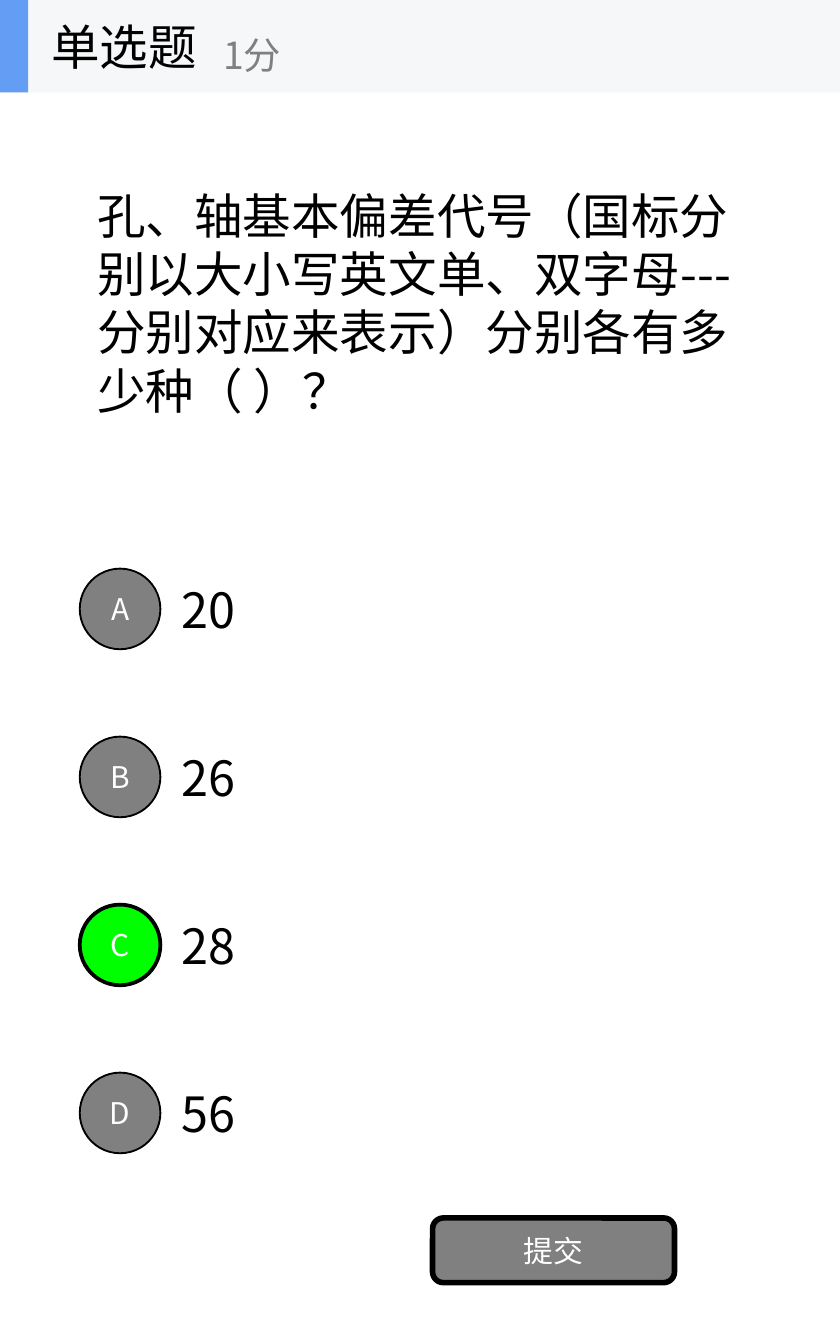
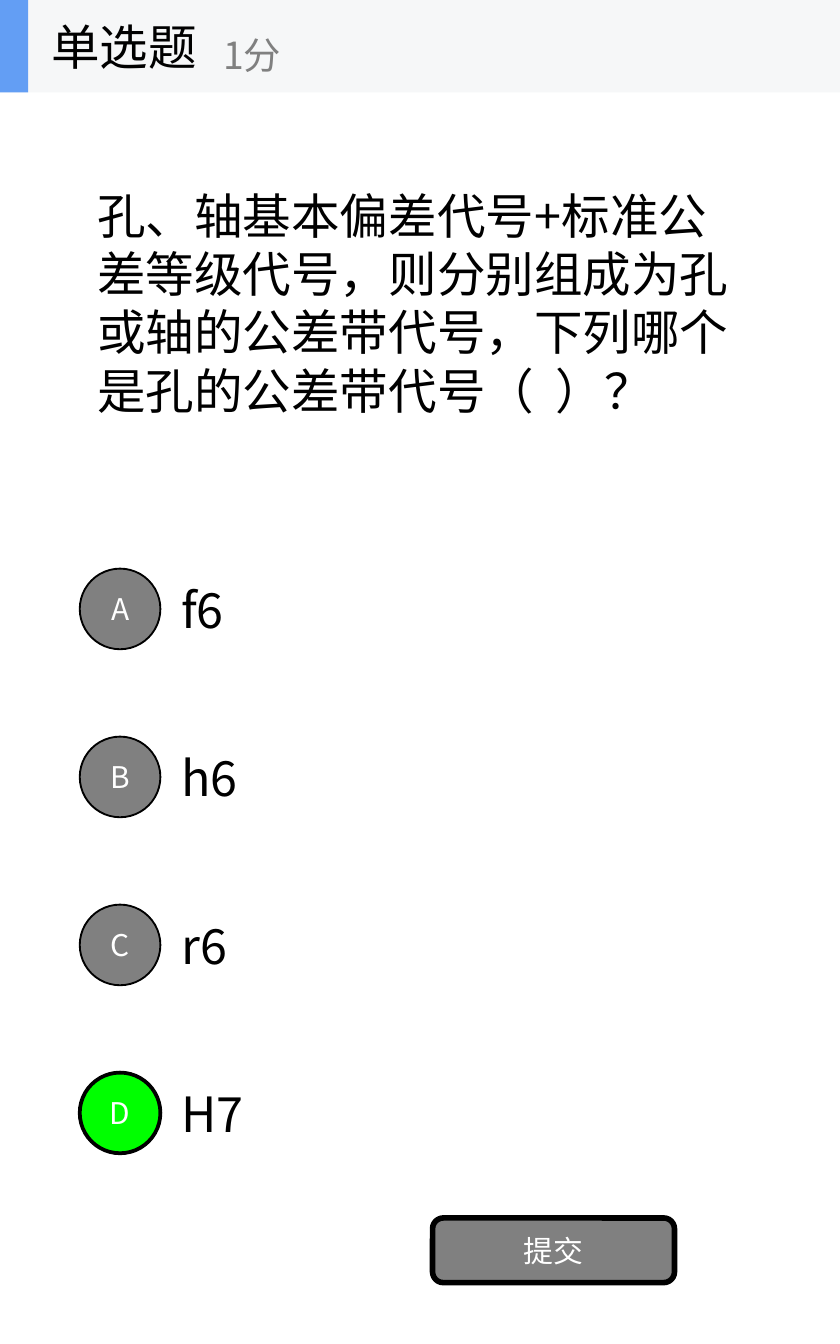
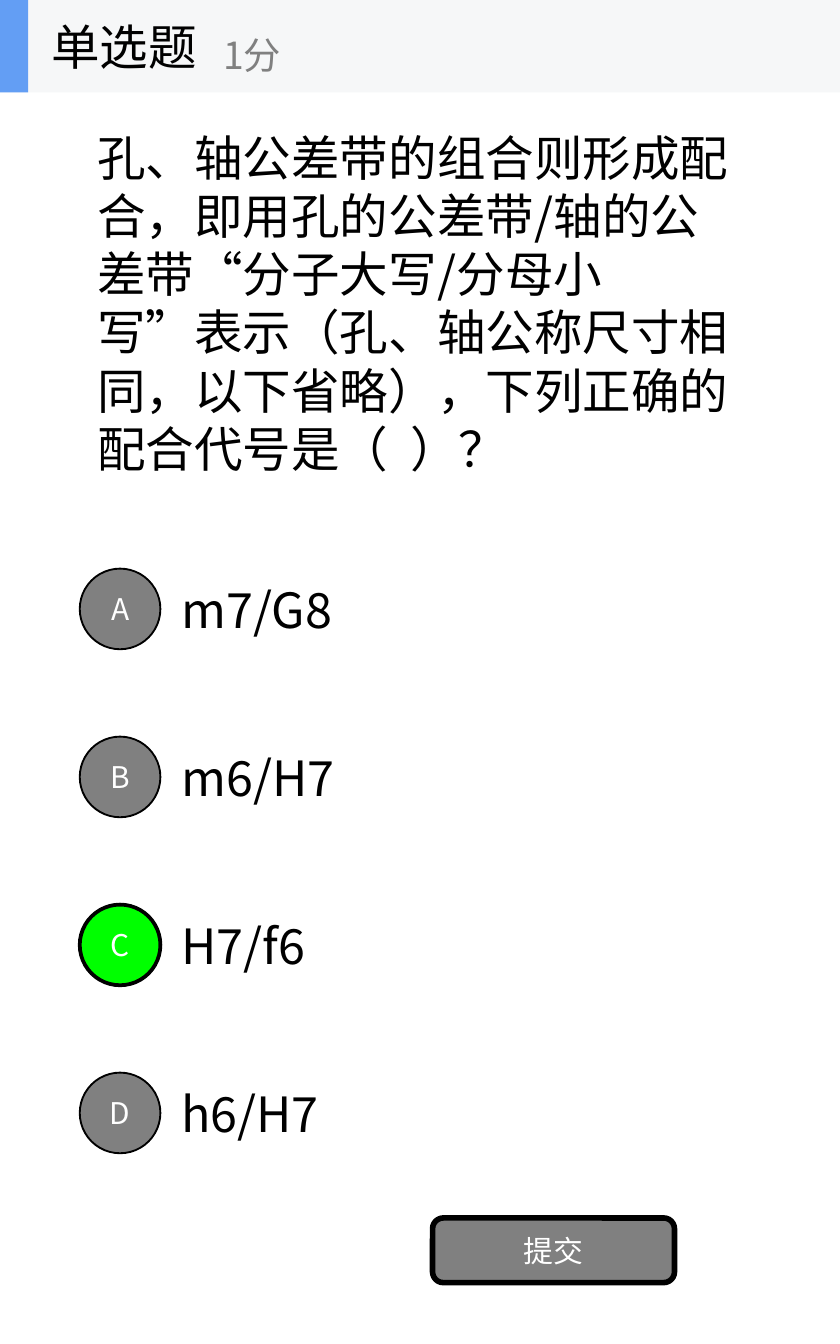
from pptx import Presentation
from pptx.dml.color import RGBColor
from pptx.enum.shapes import MSO_SHAPE as Shape
from pptx.enum.text import MSO_ANCHOR as Anchor, MSO_AUTO_SIZE as AutoSize, PP_ALIGN as Align
from pptx.oxml.ns import qn
from pptx.util import Inches, Pt

COLORS = {
    "ink": "000000",
    "white": "FFFFFF",
    "gray": "808080",
    "correct": "00FF00",
    "band": "F6F7F8",
    "accent": "639EF4",
}
FONT = "Noto Sans CJK SC"
WIDTH, HEIGHT = Inches(6.25), Inches(10)
COLUMNS, ROWS = 20, 32
HEADER_ROWS = 2.2
FIRST_OPTION_ROW, OPTION_STEP, OPTION_ROWS = 13, 4, 3
MARKER_SIZE = 1.92
TITLE_ONLY = 5

QUESTIONS = [
    ("孔、轴基本偏差代号（国标分别以大小写英文单、双字母---分别对应来表示）分别各有多少种（ ）？",
     ["20", "26", "28", "56"], "C"),
    ("孔、轴基本偏差代号+标准公差等级代号，则分别组成为孔或轴的公差带代号，下列哪个是孔的公差带代号（  ）？",
     ["f6", "h6", "r6", "H7"], "D"),
    ("孔、轴公差带的组合则形成配合，即用孔的公差带/轴的公差带“分子大写/分母小写”表示（孔、轴公称尺寸相同，以下省略），下列正确的配合代号是（  ）？",
     ["m7/G8", "m6/H7", "H7/f6", "h6/H7"], "C"),
]


def color(name):
    return RGBColor.from_string(COLORS[name])


def area(column, row, columns, rows):
    across, down = WIDTH / COLUMNS, HEIGHT / ROWS
    return (round(column * across), round(row * down),
            round(columns * across), round(rows * down))


def write(box, text, size=26, ink="ink", align=Align.LEFT):
    frame = box.text_frame
    frame.word_wrap = True
    frame.auto_size = AutoSize.NONE
    frame.vertical_anchor = Anchor.MIDDLE
    para = frame.paragraphs[0]
    para.alignment = align
    span = para.add_run()
    span.text = text
    span.font.name = FONT
    span.font.size = Pt(size)
    span.font.color.rgb = color(ink)
    east_asian = span.font._element.makeelement(qn("a:ea"), {"typeface": FONT})
    span.font._element.append(east_asian)


class QuizDeck:
    def __init__(self):
        self.deck = Presentation()
        self.deck.slide_width, self.deck.slide_height = WIDTH, HEIGHT
        self.page = None

    def new_page(self):
        layout = self.deck.slide_layouts[TITLE_ONLY]
        self.page = self.deck.slides.add_slide(layout)

    def text(self, place, text, **style):
        write(self.page.shapes.add_textbox(*area(*place)), text, **style)

    def shape(self, kind, place, fill, border=0, label=None):
        box = self.page.shapes.add_shape(kind, *area(*place))
        box.shadow.inherit = False
        box.fill.solid()
        box.fill.fore_color.rgb = color(fill)
        if border:
            box.line.color.rgb = color("ink")
            box.line.width = Pt(border)
        else:
            box.line.fill.background()
        if label:
            write(box, label, size=16, ink="white", align=Align.CENTER)

    def title(self, place, text):
        box = self.page.shapes.title
        box.left, box.top, box.width, box.height = area(*place)
        write(box, text)
        self.page.shapes.element.append(box.element)

    def header(self, title, score):
        self.shape(Shape.RECTANGLE, (0, 0, COLUMNS, HEADER_ROWS), "band")
        self.shape(Shape.RECTANGLE, (0, 0, 0.67, HEADER_ROWS), "accent")
        self.title((0.9, 0, 6.66, HEADER_ROWS), title)
        self.text((5, 0.4, 8, 1.8), score, size=20, ink="gray")

    def option(self, index, letter, answer, is_correct):
        row = FIRST_OPTION_ROW + index * OPTION_STEP
        self.text((4, row, 14, OPTION_ROWS), answer)
        marker_row = row + (OPTION_ROWS - MARKER_SIZE) / 2
        self.shape(Shape.OVAL, (1.9, marker_row, MARKER_SIZE, MARKER_SIZE),
                   "correct" if is_correct else "gray",
                   border=2 if is_correct else 1, label=letter)

    def question(self, question, answers, correct):
        self.new_page()
        self.text((2, HEADER_ROWS, 16, 10), question)
        for index, (letter, answer) in enumerate(zip("ABCD", answers)):
            self.option(index, letter, answer, letter == correct)
        self.shape(Shape.ROUNDED_RECTANGLE, (10.3, 29, 5.76, 1.54),
                   "gray", border=3, label="提交")
        self.header("单选题", "1分")


def main():
    quiz = QuizDeck()
    for question, answers, correct in QUESTIONS:
        quiz.question(question, answers, correct)
    quiz.deck.save("out.pptx")


if __name__ == "__main__":
    main()
